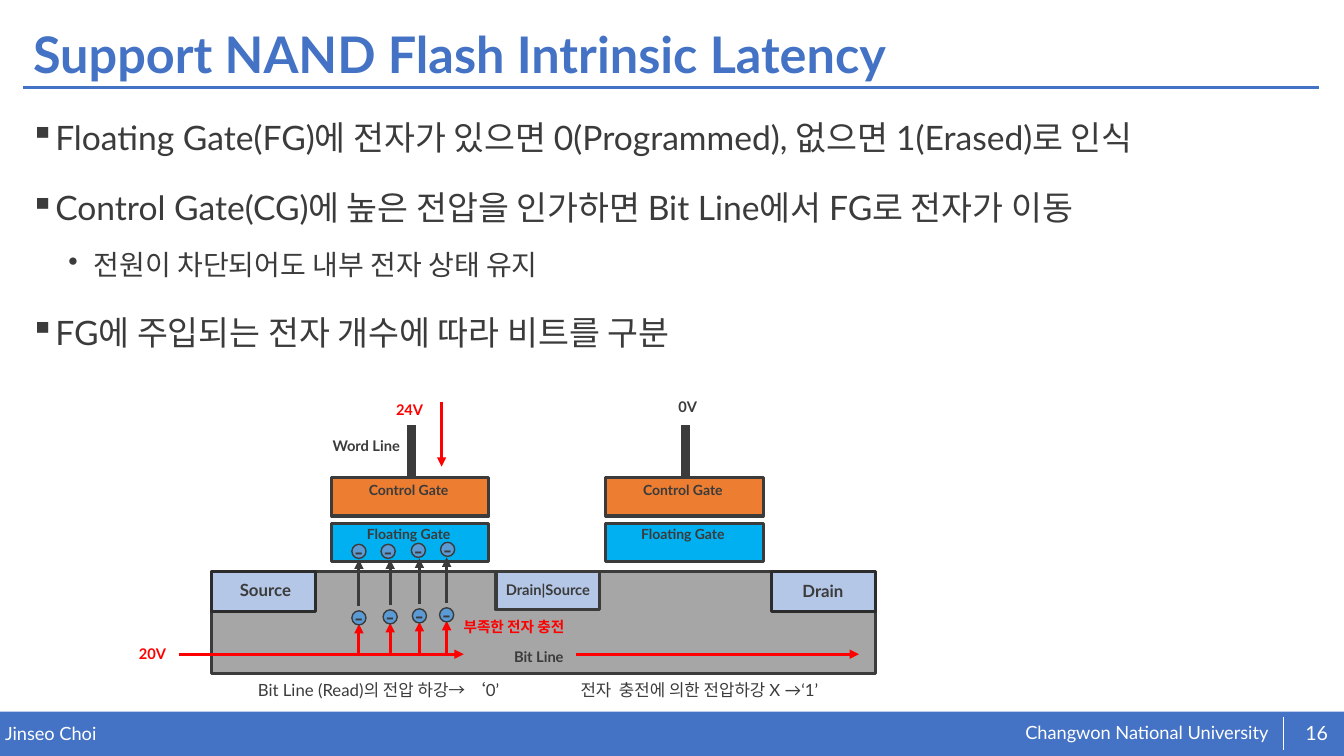
from lxml import etree
from pptx import Presentation
from pptx.dml.color import RGBColor
from pptx.enum.shapes import MSO_CONNECTOR, MSO_SHAPE
from pptx.enum.text import MSO_ANCHOR, PP_ALIGN
from pptx.oxml.ns import qn
from pptx.util import Pt

PX = 9144
LINE = MSO_CONNECTOR.STRAIGHT
RECT, OVAL = MSO_SHAPE.RECTANGLE, MSO_SHAPE.OVAL
MIDDLE, CENTER = MSO_ANCHOR.MIDDLE, PP_ALIGN.CENTER
COLORS = {
    "blue": "4472C4", "white": "FFFFFF", "dark": "3B3B3B", "black": "2C2C2C",
    "gray": "A6A6A6", "cyan": "00B0F0", "orange": "ED7D31", "pale": "B4C7E7",
    "electron": "5B9BD5", "red": "FF0000",
}
COLORS = {name: RGBColor.from_string(value) for name, value in COLORS.items()}

deck = Presentation()
deck.slide_width, deck.slide_height = 1333 * PX, 750 * PX
page = deck.slides.add_slide(deck.slide_layouts[6])


def add_text(text, left, top, width, height, size, color="dark", bold=False, margin=10):
    box = page.shapes.add_textbox(left * PX, top * PX, width * PX, height * PX)
    frame = box.text_frame
    frame.word_wrap = True
    frame.margin_left = frame.margin_right = margin * PX
    frame.margin_top = frame.margin_bottom = margin // 2 * PX
    frame.text = text
    for para in frame.paragraphs:
        para.font.name = "Lato"
        para.font.size = Pt(size)
        para.font.bold = bold
        para.font.color.rgb = COLORS[color]
    return frame


def add_line(x1, y1, x2, y2, color, weight, arrow=False):
    line = page.shapes.add_connector(LINE, x1 * PX, y1 * PX, x2 * PX, y2 * PX)
    line.line.color.rgb = COLORS[color]
    line.line.width = Pt(weight)
    if arrow:
        etree.SubElement(line.line._get_or_add_ln(), qn("a:tailEnd"), type="triangle")
    etree.SubElement(line._element.spPr, qn("a:effectLst"))


footer = page.shapes.add_shape(RECT, 0, 706 * PX, 1333 * PX, 44 * PX)
footer.shadow.inherit = False
footer.fill.solid()
footer.fill.fore_color.rgb = COLORS["blue"]
footer.line.fill.background()
add_text("Changwon National University", 1017, 716, 250, 23, 13, "white", margin=0)
add_text("Jinseo Choi", 5, 717, 655, 22, 13, "white", margin=0)
number = add_text("16", 1282, 707, 48, 40, 14, "white", margin=0)
number.vertical_anchor = MIDDLE
number.paragraphs[0].alignment = CENTER
add_line(1273, 711, 1273, 744, "white", 0.5)
add_line(23, 87, 1308, 87, "blue", 2)

title = add_text("Support NAND Flash Intrinsic Latency", 23, 18, 1286, 77, 36, "blue", True)
title.vertical_anchor = MIDDLE
title.paragraphs[0].line_spacing = 0.9

points = [
    (0, "Floating Gate(FG)에 전자가 있으면 0(Programmed), 없으면 1(Erased)로 인식"),
    (0, "Control Gate(CG)에 높은 전압을 인가하면 Bit Line에서 FG로 전자가 이동"),
    (1, "전원이 차단되어도 내부 전자 상태 유지"),
    (0, "FG에 주입되는 전자 개수에 따라 비트를 구분"),
]
body = add_text("\n".join(text for _, text in points), 20, 95, 1286, 563, 24)
for index, (para, (level, _)) in enumerate(zip(body.paragraphs, points)):
    properties = para._p.get_or_add_pPr()
    properties.set("marL", str((25, 63)[level] * PX))
    properties.set("indent", str(-25 * PX))
    bullet = etree.Element(qn("a:buChar"), char="▪•"[level])
    properties.insert(0, bullet)
    para.level = level
    para.line_spacing = 1.4
    para.space_before = Pt((10, 5)[level] if index else 0)
    para.font.size = Pt((24, 20)[level])

blocks = [
    (210, 567, 658, 101, "gray", "dark"),
    (492, 567, 103, 38, "pale", "dark"),
    (210, 567, 103, 40, "pale", "black"),
    (765, 567, 103, 40, "pale", "black"),
]
for cell_left in (329, 601):
    blocks.append((cell_left, 519, 156, 38, "cyan", "dark"))
    blocks.append((cell_left, 474, 156, 38, "orange", "dark"))
for left, top, width, height, fill, edge in blocks:
    block = page.shapes.add_shape(RECT, left * PX, top * PX, width * PX, height * PX)
    block.shadow.inherit = False
    block.fill.solid()
    block.fill.fore_color.rgb = COLORS[fill]
    block.line.color.rgb = COLORS[edge]
    block.line.width = Pt(2.25)

for cell_left in (329, 601):
    add_line(cell_left + 79, 422, cell_left + 79, 474, "dark", 6)
    add_text("Floating Gate", cell_left + 25, 516, 190, 27, 10, bold=True)
    add_text("Control Gate", cell_left + 27, 473, 186, 27, 10, bold=True)

labels = [
    ("Drain|Source", 492, 571, 110, 10.5, "dark"),
    ("Source", 228, 570, 132, 12, "dark"),
    ("Drain", 786, 571, 132, 12, "dark"),
    ("Bit Line", 500, 638, 132, 10.5, "dark"),
    ("Word Line", 320, 428, 132, 10.5, "dark"),
    ("24V", 383, 393, 110, 10.5, "red"),
    ("0V", 663, 390, 132, 10.5, "dark"),
    ("20V", 128, 635, 110, 10.5, "red"),
    ("부족한 전자 충전", 450, 608, 132, 10.5, "red"),
]
for text, left, top, width, size, color in labels:
    add_text(text, left, top, width, 28, size, color, True)
add_text("Bit Line (Read)의 전압 하강→ ‘0’", 246, 669, 320, 30, 12)
add_text("전자  충전에 의한 전압하강 X →‘1’", 566, 669, 513, 30, 12)

add_line(438, 399, 438, 463, "red", 2.25, True)
add_line(178, 649, 460, 649, "red", 2.25, True)
add_line(571, 649, 852, 649, "red", 2.25, True)

electron_paths = [
    (356, 349, 540, 349, 606),
    (387, 378, 540, 380, 605),
    (416, 408, 539, 409, 604),
    (443, 437, 538, 436, 603),
]
for x, upper_left, upper_top, lower_left, lower_top in electron_paths:
    add_line(x, lower_top - 5, x, upper_top + 15, "dark", 2.25, True)
    add_line(x, 649, x, lower_top + 13, "red", 2.25, True)
    for left, top in ((upper_left, upper_top), (lower_left, lower_top)):
        electron = page.shapes.add_shape(OVAL, left * PX, top * PX, 14 * PX, 14 * PX)
        electron.shadow.inherit = False
        electron.fill.solid()
        electron.fill.fore_color.rgb = COLORS["electron"]
        electron.line.color.rgb = COLORS["dark"]
        electron.line.width = Pt(1)
        frame = electron.text_frame
        frame.margin_left = frame.margin_right = 0
        frame.vertical_anchor = MIDDLE
        frame.text = "-"
        sign = frame.paragraphs[0]
        sign.alignment = CENTER
        sign.font.name = "Lato"
        sign.font.size = Pt(18)
        sign.font.color.rgb = COLORS["dark"]

deck.save("out.pptx")
